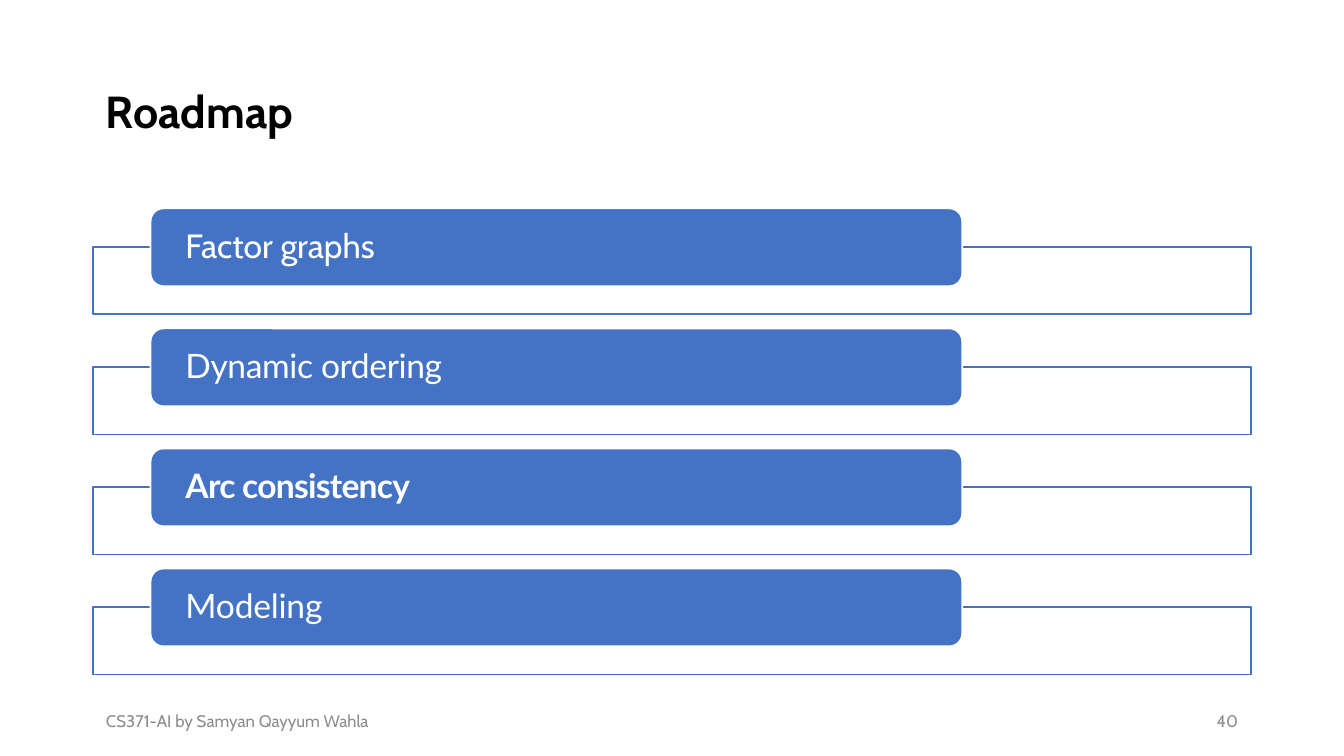
from dataclasses import dataclass

from lxml import etree
from pptx import Presentation
from pptx import util as u
from pptx.dml.color import RGBColor
from pptx.enum import shapes, text
from pptx.oxml.ns import qn
from pptx.shapes.autoshape import Shape
from pptx.slide import Slide

BLUE, WHITE, BLACK, GREY = "4472C4", "FFFFFF", "000000", "8C8C8C"
PAGE_WIDTH = 10
PAGE_HEIGHT = PAGE_WIDTH * 9 / 16
LEFT = 0.69
WIDTH = PAGE_WIDTH - 2 * LEFT
FIRST_TOP, LAST_TOP = 1.55, 4.23
FRAME_OFFSET = 0.29


@dataclass(frozen=True)
class Topic:
    """One step of the roadmap."""

    label: str
    font: str = "Lato"
    bold: bool = False
    spacing: float = 0


TOPICS = [
    Topic("Factor graphs", font="Cabin"),
    Topic("Dynamic ordering", spacing=-0.2),
    Topic("Arc consistency", bold=True, spacing=-0.4),
    Topic("Modeling", spacing=-0.1),
]


def colour(value: str) -> RGBColor:
    """Turn a hex string into a colour."""
    return RGBColor.from_string(value)


def write(box: Shape, words: str, *, size: float, ink: str, font: str = "Cabin",
          bold: bool = False, spacing: float = 0, line_spacing: float = 1.0,
          align: text.PP_ALIGN = text.PP_ALIGN.LEFT,
          inset: tuple[float, float] = (0.1, 0.05)) -> None:
    """Write one vertically centred paragraph into a box."""
    frame = box.text_frame
    frame.word_wrap = True
    frame.vertical_anchor = text.MSO_ANCHOR.MIDDLE
    frame.margin_left = frame.margin_right = u.Inches(inset[0])
    frame.margin_top = frame.margin_bottom = u.Inches(inset[1])
    para = frame.paragraphs[0]
    para.alignment = align
    para.line_spacing = line_spacing
    span = para.add_run()
    span.text = words
    span.font.name = font
    span.font.size = u.Pt(size)
    span.font.bold = bold
    span.font.color.rgb = colour(ink)
    if spacing:
        span.font._element.set("spc", str(round(spacing * 100)))


def add_text(page: Slide, words: str, left: float, top: float, width: float,
             height: float, **style) -> None:
    """Add a text box holding one formatted paragraph."""
    box = page.shapes.add_textbox(*map(u.Inches, (left, top, width, height)))
    write(box, words, **style)


def add_box(page: Slide, kind: shapes.MSO_SHAPE, left: float, top: float,
            width: float, height: float, fill: str, line: str) -> Shape:
    """Add a filled and outlined preset shape without shadow."""
    box = page.shapes.add_shape(kind, *map(u.Inches, (left, top, width, height)))
    box.shadow.inherit = False
    box.fill.solid()
    box.fill.fore_color.rgb = colour(fill)
    box.line.color.rgb = colour(line)
    box.line.width = u.Pt(1)
    return box


def draw_topic(page: Slide, topic: Topic, top: float) -> None:
    """Draw a topic's translucent frame, the bar over it and its label."""
    frame = add_box(page, shapes.MSO_SHAPE.RECTANGLE, LEFT, top + FRAME_OFFSET,
                    WIDTH, 0.5, WHITE, BLUE)
    fill = frame._element.spPr.find(qn("a:solidFill"))
    etree.SubElement(fill[0], qn("a:alpha"), val="90000")
    add_box(page, shapes.MSO_SHAPE.ROUNDED_RECTANGLE, 1.12, top, 6.04, 0.58,
            BLUE, WHITE)
    add_text(page, topic.label, 1.15, top + 0.03, 5.98, 0.52, size=18, ink=WHITE,
             font=topic.font, bold=topic.bold, spacing=topic.spacing,
             line_spacing=0.9, inset=(0.23, 0))


def main() -> None:
    """Build the roadmap slide and save it."""
    deck = Presentation()
    deck.slide_width, deck.slide_height = u.Inches(PAGE_WIDTH), u.Inches(PAGE_HEIGHT)
    page = deck.slides.add_slide(deck.slide_layouts[6])
    add_text(page, "Roadmap", LEFT, 0.3, WIDTH, 1.09, size=24, ink=BLACK,
             bold=True, line_spacing=0.9)
    pitch = (LAST_TOP - FIRST_TOP) / (len(TOPICS) - 1)
    for index, topic in enumerate(TOPICS):
        draw_topic(page, topic, FIRST_TOP + index * pitch)
    add_text(page, "CS371-AI by Samyan Qayyum Wahla", LEFT, 5.21, 2.25, 0.3,
             size=9, ink=GREY)
    add_text(page, "40", LEFT + WIDTH - 2.25, 5.21, 2.25, 0.3, size=9, ink=GREY,
             align=text.PP_ALIGN.RIGHT)
    deck.save("out.pptx")


if __name__ == "__main__":
    main()
